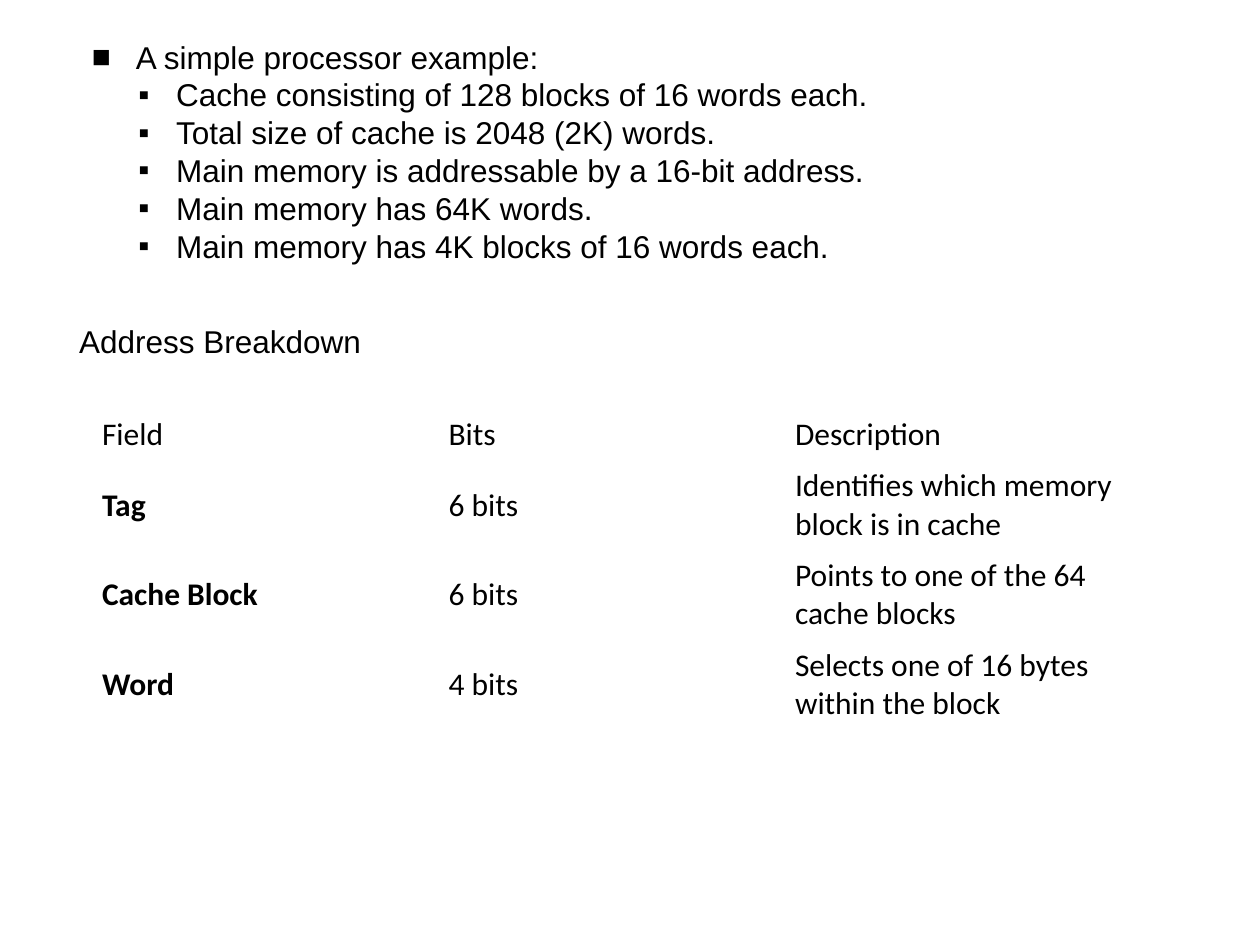
from dataclasses import dataclass
from lxml.etree import SubElement as Sub
from pptx import Presentation
from pptx.dml.color import RGBColor as Rgb
from pptx.enum.text import MSO_ANCHOR as Anchor, MSO_AUTO_SIZE as Fit
from pptx.oxml.ns import qn
from pptx.util import Inches, Pt


@dataclass(frozen=True)
class Theme:
    ink: Rgb = Rgb(0, 0, 0)
    size: Pt = Pt(18)
    body: str = "Arial"
    grid: str = "Calibri"


THEME = Theme()
WIDE, HIGH = 10, 7.5
LEVELS = [("■", 0.48, 0.35), ("▪", 0.8, 0.3)]
POINTS = [
    (0, "A simple processor example:"),
    (1, "Cache consisting of 128 blocks of 16 words each."),
    (1, "Total size of cache is 2048 (2K) words."),
    (1, "Main memory is addressable by a 16-bit address."),
    (1, "Main memory has 64K words."),
    (1, "Main memory has 4K blocks of 16 words each."),
]
FIELDS = [
    ("Field", "Bits", "Description"),
    ("Tag", "6 bits", "Identifies which memory block is in cache"),
    ("Cache Block", "6 bits", "Points to one of the 64 cache blocks"),
    ("Word", "4 bits", "Selects one of 16 bytes within the block"),
]


def style(para, face, bold=False):
    look = {"name": face, "size": THEME.size, "bold": bold}
    for run in para.runs:
        for key, val in look.items():
            setattr(run.font, key, val)
        run.font.color.rgb = THEME.ink


def bullet(para, level):
    mark, left, hang = LEVELS[level]
    para.level = level
    props = para._p.get_or_add_pPr()
    props.set("marL", str(Inches(left)))
    props.set("indent", str(-Inches(hang)))
    tint = Sub(props, qn("a:buClr"))
    Sub(tint, qn("a:srgbClr"), val=str(THEME.ink))
    Sub(props, qn("a:buFont"), typeface=THEME.body)
    Sub(props, qn("a:buChar"), char=mark)


def add_text(slide, area, items):
    box = slide.shapes.add_textbox(*map(Inches, area))
    frame = box.text_frame
    frame.word_wrap = True
    frame.auto_size = Fit.SHAPE_TO_FIT_TEXT
    for num, (level, text) in enumerate(items):
        para = frame.add_paragraph() if num else frame.paragraphs[0]
        para.text = text
        if level is not None:
            bullet(para, level)
        style(para, THEME.body)


def add_grid(slide, left, top, col, rows, data):
    shape = slide.shapes.add_table(
        len(data), len(data[0]), Inches(left), Inches(top),
        Inches(col * len(data[0])), Inches(sum(rows)))
    table = shape.table
    table.first_row = table.horz_banding = False
    for item in table.columns:
        item.width = Inches(col)
    for row, (high, line) in enumerate(zip(rows, data)):
        table.rows[row].height = Inches(high)
        for place, text in enumerate(line):
            cell = table.cell(row, place)
            cell.text = text
            cell.fill.background()
            cell.vertical_anchor = Anchor.MIDDLE
            style(cell.text_frame.paragraphs[0], THEME.grid,
                  row > 0 and place == 0)


def main():
    deck = Presentation()
    deck.slide_width, deck.slide_height = Inches(WIDE), Inches(HIGH)
    slide = deck.slides.add_slide(deck.slide_layouts[6])
    add_grid(slide, 0.71, 3.25, 2.75, [0.4] + [0.7] * 3, FIELDS)
    add_text(slide, (0.5, 0.25, 8.58, 1.9), POINTS)
    add_text(slide, (0.53, 2.51, 7.67, 0.4), [(None, "Address Breakdown")])
    deck.save("out.pptx")


if __name__ == "__main__":
    main()
